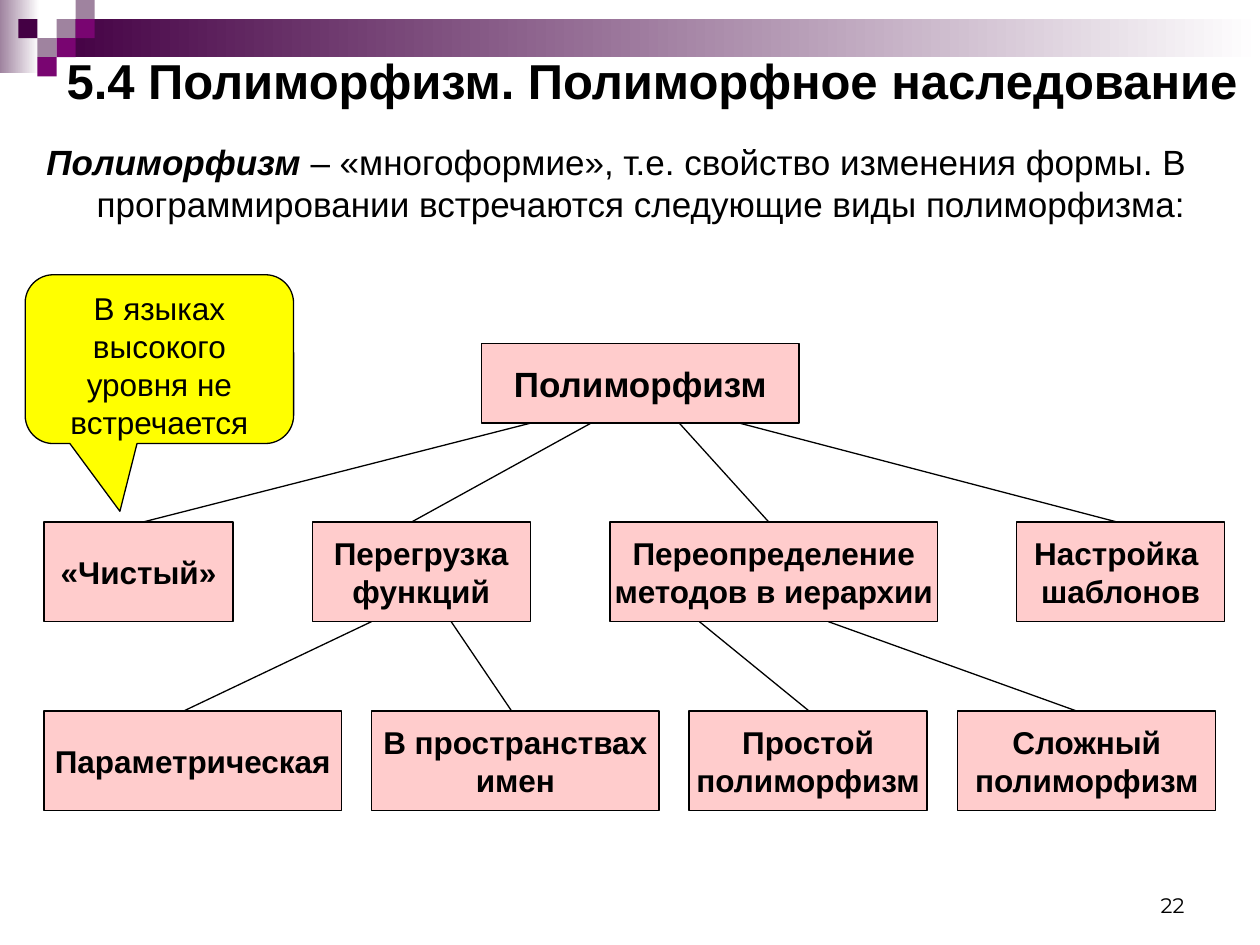
from pptx import Presentation
from pptx.dml.color import RGBColor
from pptx.enum.shapes import MSO_CONNECTOR, MSO_SHAPE
from pptx.enum.text import MSO_ANCHOR, PP_ALIGN
from pptx.oxml.ns import qn
from pptx.util import Pt
from lxml import etree

RECT, CALLOUT = MSO_SHAPE.RECTANGLE, MSO_SHAPE.ROUNDED_RECTANGULAR_CALLOUT
STRAIGHT = MSO_CONNECTOR.STRAIGHT
TOP, MIDDLE, BOTTOM = MSO_ANCHOR.TOP, MSO_ANCHOR.MIDDLE, MSO_ANCHOR.BOTTOM
LEFT, CENTER, RIGHT = PP_ALIGN.LEFT, PP_ALIGN.CENTER, PP_ALIGN.RIGHT

COLORS = {
    "black": "000000", "white": "FFFFFF", "node": "FFCCCC", "note": "FFFF00",
    "dark": "440044", "plum": "790571", "mauve": "9F839F",
}


def rgb(name):
    return RGBColor.from_string(COLORS[name])


def add_box(s, box, fill, kind=RECT, outlined=True):
    sp = s.shapes.add_shape(kind, *map(Pt, box))
    sp.shadow.inherit = False
    sp.fill.solid()
    sp.fill.fore_color.rgb = rgb(fill)
    if outlined:
        sp.line.color.rgb = rgb("black")
        sp.line.width = Pt(0.75)
    else:
        sp.line.fill.background()
    return sp


def write(sp, text, size, bold=False, align=LEFT, anchor=TOP, wrap=True, font="Arial"):
    tf = sp.text_frame
    tf.text = text
    tf.word_wrap = wrap
    tf.vertical_anchor = anchor
    for p in tf.paragraphs:
        p.alignment = align
        for r in p.runs:
            r.font.name, r.font.size, r.font.bold = font, Pt(size), bold
            r.font.color.rgb = rgb("black")
    return tf


def add_text(s, box, text, size, **style):
    return write(s.shapes.add_textbox(*map(Pt, box)), text, size, **style)


def add_header(s, x, y):
    # Fading bars
    bars = [((0, 0, 22.5, 42), "mauve"), ((32.5, 11, 687.5, 21.5), "dark")]
    for (dx, dy, w, h), color in bars:
        sp = add_box(s, (x + dx, y + dy, w, h), color, outlined=False)
        sp.fill.gradient()
        sp.fill.gradient_angle = 0
        for stop, name in zip(sp.fill.gradient_stops, (color, "white")):
            stop.color.rgb = rgb(name)
    # Checkered squares: column, row, colour
    squares = [(2, 1, "mauve"), (3, 0, "mauve"), (3, 1, "plum"), (1, 2, "mauve"),
               (0, 1, "dark"), (2, 2, "plum"), (1, 3, "plum")]
    cell = 10.9
    for col, row, color in squares:
        add_box(s, (x + 10.5 + col * cell, y + row * cell, cell, cell), color, outlined=False)


def add_definition(s, box):
    term = "Полиморфизм"
    tf = add_text(s, box, term, 20, bold=True)
    p = tf.paragraphs[0]
    p.space_before = Pt(12.5)
    pPr = p._p.get_or_add_pPr()
    pPr.set("marL", str(Pt(28.8)))
    pPr.set("indent", str(-Pt(28.8)))
    p.runs[0].font.italic = True
    r = p.add_run()
    r.text = (" – «многоформие», т.е. свойство изменения формы. "
              "В программировании встречаются следующие виды полиморфизма:")
    r.font.name, r.font.size = "Arial", Pt(20)
    r.font.color.rgb = rgb("black")


def add_tree(s, x, y):
    # Levels: top, height, text size, nodes (left, width, text)
    levels = [
        (0, 45.4, 20, [(250, 181.4, "Полиморфизм")]),
        (101.8, 57, 18, [(0, 108, "«Чистый»"),
                         (153.2, 124.6, "Перегрузка\nфункций"),
                         (323.4, 187.2, "Переопределение\nметодов в иерархии"),
                         (555.8, 118.8, "Настройка \nшаблонов")]),
        (209.8, 57, 18, [(0, 170, "Параметрическая"),
                         (187.2, 164.2, "В пространствах\nимен"),
                         (368.6, 136, "Простой\nполиморфизм"),
                         (522, 147.6, "Сложный\nполиморфизм")]),
    ]
    # Branches below each level: x at the parent, x at the child
    branches = [
        [(278, 57), (312.5, 210.2), (363, 414), (397.4, 612.7)],
        [(187.2, 80), (232.6, 267.1), (374.4, 437), (448, 589.7)],
    ]
    for (top, h, _, _), (next_top, *_), links in zip(levels, levels[1:], branches):
        for x1, x2 in links:
            c = s.shapes.add_connector(STRAIGHT, Pt(x + x1), Pt(y + top + h),
                                       Pt(x + x2), Pt(y + next_top))
            c.line.color.rgb = rgb("black")
            c.line.width = Pt(0.75)
            etree.SubElement(c._element.spPr, qn("a:effectLst"))
    for top, h, size, nodes in levels:
        for left, w, text in nodes:
            sp = add_box(s, (x + left, y + top, w, h), "node")
            write(sp, text, size, bold=True, align=CENTER, anchor=MIDDLE, wrap=False)


def add_note(s, box):
    sp = add_box(s, box, "note", CALLOUT)
    for i, value in enumerate((-0.147, 0.901, 0.167)):
        sp.adjustments[i] = value
    write(sp, "В языках высокого уровня не встречается", 18, align=CENTER)


def main():
    prs = Presentation()
    prs.slide_width, prs.slide_height = Pt(720), Pt(540)
    s = prs.slides.add_slide(prs.slide_layouts[6])
    add_header(s, 0, 0)
    add_text(s, (516.2, 491.8, 167.8, 36), "22", 12, align=RIGHT, anchor=BOTTOM,
             font="Montserrat")
    add_text(s, (31, 20.2, 689, 51), "5.4 Полиморфизм. Полиморфное наследование", 28,
             bold=True, anchor=MIDDLE)
    add_tree(s, 25.2, 196.4)
    add_definition(s, (19.4, 77, 669, 79.2))
    add_note(s, (14.4, 157, 153.4, 96.5))
    prs.save("out.pptx")


if __name__ == "__main__":
    main()
